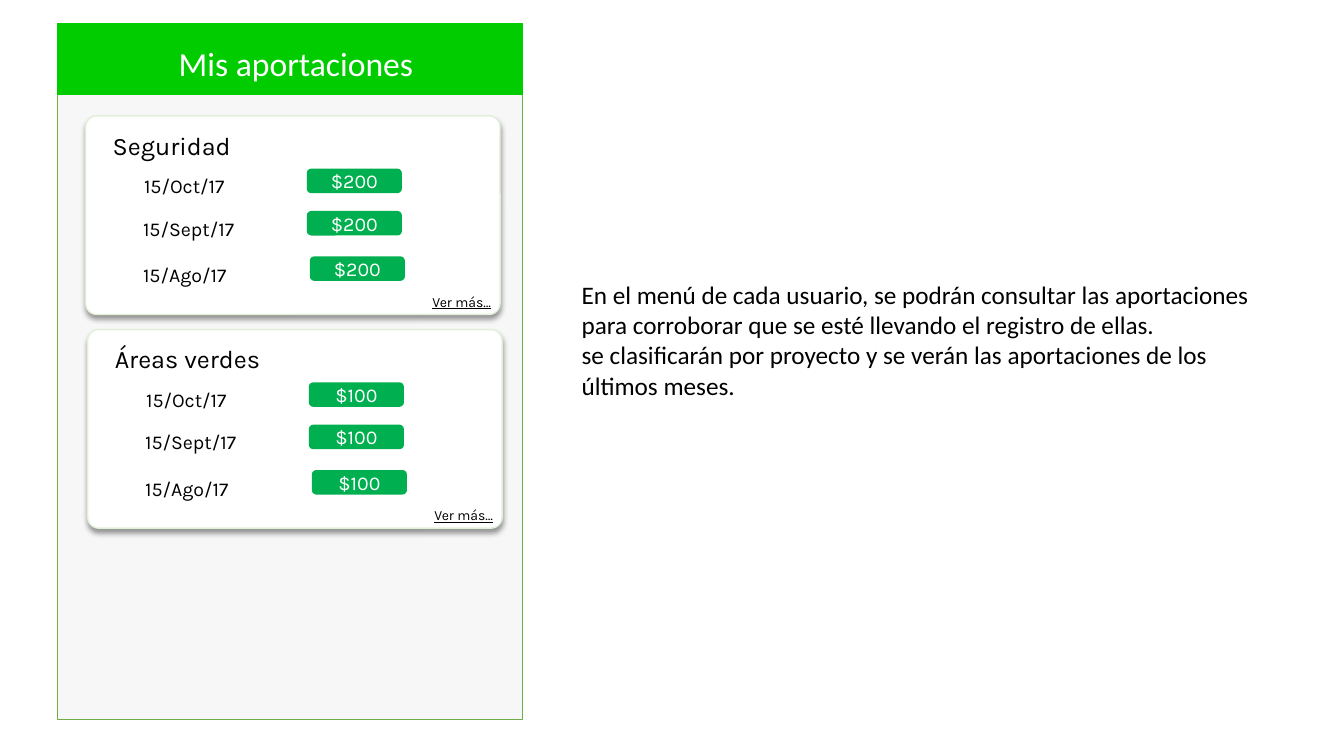
import pptx
import pptx.dml.color
import pptx.enum.shapes
import pptx.enum.text
import pptx.oxml
import pptx.util
from pptx.util import Inches

RGBColor = pptx.dml.color.RGBColor
Shape = pptx.enum.shapes.MSO_SHAPE
Align = pptx.enum.text.PP_ALIGN

WHITE = RGBColor(0xFF, 0xFF, 0xFF)
BLACK = RGBColor(0x00, 0x00, 0x00)
SCREEN_GRAY = RGBColor(0xF7, 0xF7, 0xF7)
SCREEN_BORDER = RGBColor(0x70, 0xAD, 0x47)
HEADER_GREEN = RGBColor(0x00, 0xCC, 0x00)
CARD_BORDER = RGBColor(0xE2, 0xF0, 0xD9)
AMOUNT_GREEN = RGBColor(0x00, 0xB0, 0x50)

CARD_SHADOW = (
    '<a:effectLst xmlns:a="http://schemas.openxmlformats.org/drawingml/2006/main">'
    '<a:outerShdw blurRad="50800" dist="38100" dir="5400000" algn="t" rotWithShape="0">'
    '<a:srgbClr val="000000"><a:alpha val="40000"/></a:srgbClr>'
    '</a:outerShdw></a:effectLst>'
)

# Date, date left, date top, amount left, amount top (inches from the card corner)
CONTRIBUTIONS = [
    ("15/Oct/17", 0.48, 0.53, 2.2, 0.53),
    ("15/Sept/17", 0.47, 0.95, 2.2, 0.95),
    ("15/Ago/17", 0.47, 1.41, 2.23, 1.4),
]

EXPLANATION = [
    "En el menú de cada usuario, se podrán consultar las aportaciones",
    "para corroborar que se esté llevando el registro de ellas.",
    "se clasificarán por proyecto y se verán las aportaciones de los",
    "últimos meses.",
]


class SlideBuilder:
    heading_font = "Calibri"
    card_font = "Karla"

    def __init__(self, slide):
        self.slide = slide

    def format_text(self, text_frame, font, size, color, align=None, underline=None):
        for paragraph in text_frame.paragraphs:
            paragraph.alignment = align
            for run in paragraph.runs:
                run.font.name = font
                run.font.size = pptx.util.Pt(size)
                run.font.color.rgb = color
                run.font.underline = underline

    def box(self, preset, left, top, width, height, fill, line):
        shape = self.slide.shapes.add_shape(
            preset, Inches(left), Inches(top), Inches(width), Inches(height))
        shape.shadow.inherit = False
        shape.fill.solid()
        shape.fill.fore_color.rgb = fill
        shape.line.color.rgb = line
        shape.line.width = pptx.util.Pt(1)
        return shape

    def text(self, text, left, top, width, height, font, size, color=BLACK,
             align=None, underline=None, wrap=True):
        text_box = self.slide.shapes.add_textbox(
            Inches(left), Inches(top), Inches(width), Inches(height))
        text_frame = text_box.text_frame
        text_frame.word_wrap = wrap
        text_frame.auto_size = pptx.enum.text.MSO_AUTO_SIZE.SHAPE_TO_FIT_TEXT
        text_frame.text = text
        self.format_text(text_frame, font, size, color, align, underline)

    def amount(self, text, left, top):
        button = self.box(Shape.ROUNDED_RECTANGLE, left, top, 0.93, 0.23,
                          AMOUNT_GREEN, AMOUNT_GREEN)
        button.text_frame.text = text
        button.text_frame.vertical_anchor = pptx.enum.text.MSO_ANCHOR.MIDDLE
        self.format_text(button.text_frame, self.card_font, 14, WHITE, Align.CENTER)

    def project_card(self, project, amount, left, top):
        card = self.box(Shape.ROUNDED_RECTANGLE, left, top, 4.11, 1.97, WHITE, CARD_BORDER)
        card.adjustments[0] = 0.055
        properties = card.fill._xPr
        properties.remove(properties.find(pptx.oxml.ns.qn("a:effectLst")))
        properties.append(pptx.oxml.parse_xml(CARD_SHADOW))

        self.text(project, left + 0.17, top + 0.09, 2.24, 0.4, self.card_font, 18)
        for date, date_left, date_top, amount_left, amount_top in CONTRIBUTIONS:
            self.text(date, left + date_left, top + date_top, 1.18, 0.34, self.card_font, 14)
            self.amount(amount, left + amount_left, top + amount_top)
        self.text("Ver más…", left + 3.34, top + 1.71, 0.82, 0.27, self.card_font, 10,
                  underline=True)


def main():
    presentation = pptx.Presentation()
    presentation.slide_width = Inches(13.33)
    presentation.slide_height = Inches(7.5)
    builder = SlideBuilder(presentation.slides.add_slide(presentation.slide_layouts[6]))

    builder.box(Shape.RECTANGLE, 0.57, 0.24, 4.61, 6.9, SCREEN_GRAY, SCREEN_BORDER)
    builder.box(Shape.RECTANGLE, 0.57, 0.24, 4.61, 0.7, HEADER_GREEN, HEADER_GREEN)
    builder.text("Mis aportaciones", 1.66, 0.38, 2.55, 0.5, builder.heading_font, 24,
                 WHITE, Align.CENTER, wrap=False)

    builder.project_card("Seguridad", "$200", 0.85, 1.15)
    builder.project_card("Áreas verdes", "$100", 0.87, 3.27)

    builder.text("\n".join(EXPLANATION), 5.67, 2.72, 6.9, 1.31, builder.heading_font, 18,
                 wrap=False)
    presentation.save("out.pptx")


if __name__ == "__main__":
    main()
